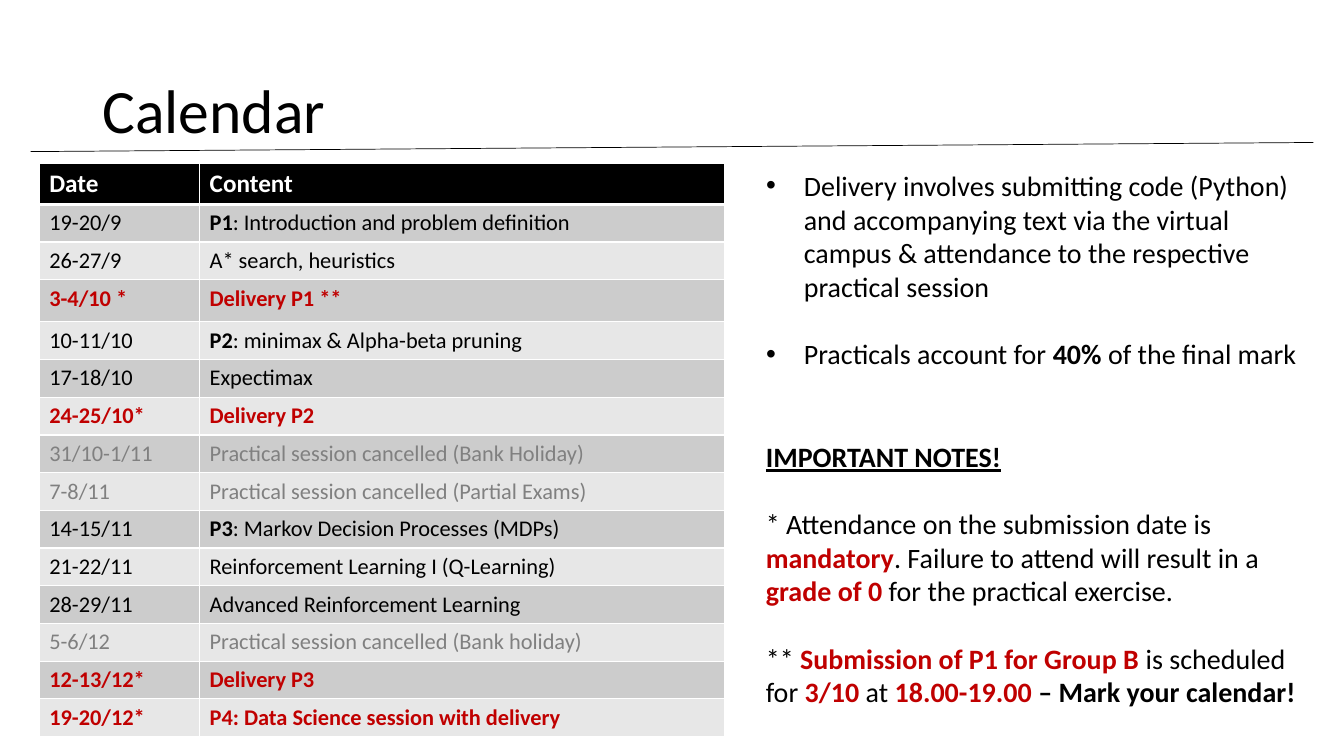
from lxml import etree
from pptx import Presentation
from pptx.dml.color import RGBColor
from pptx.enum.shapes import MSO_CONNECTOR
from pptx.enum.text import MSO_ANCHOR, MSO_AUTO_SIZE, PP_ALIGN
from pptx.oxml import parse_xml
from pptx.oxml.ns import nsdecls, qn
from pptx.util import Cm, Pt

FONT = "Calibri"
COLORS = {
    "plain": "000000", "bold": "000000", "due": "C00000", "off": "808080",
    "head": "FFFFFF", "head_fill": "000000", "border": "FFFFFF",
    "odd": "CCCCCC", "even": "E7E7E7",
}


def write(p, size, runs):
    """Fill paragraph p with (text, style) runs; a style is a key of COLORS."""
    p.font.name, p.font.size = FONT, Pt(size)
    for text, style in runs:
        r = p.add_run()
        r.text = text
        r.font.bold = style in ("bold", "due", "head")
        r.font.color.rgb = RGBColor.from_string(COLORS[style])


def style_cell(cell, fill, bottom):
    tc_pr = cell._tc.get_or_add_tcPr()
    for side, width in (("L", 1), ("R", 1), ("T", 1), ("B", bottom)):
        tc_pr.append(parse_xml(
            f'<a:ln{side} {nsdecls("a")} w="{Pt(width)}"><a:solidFill>'
            f'<a:srgbClr val="{COLORS["border"]}"/></a:solidFill></a:ln{side}>'))
    cell.fill.solid()
    cell.fill.fore_color.rgb = RGBColor.from_string(COLORS[fill])


prs = Presentation()
prs.slide_width, prs.slide_height = Cm(33.87), Cm(19.05)
s = prs.slides.add_slide(prs.slide_layouts[1])

# Title and rule
title, body = s.placeholders
title.left, title.top, title.width, title.height = Cm(2.33), Cm(1.01), Cm(29.21), Cm(3.68)
title.text_frame.vertical_anchor = MSO_ANCHOR.MIDDLE
p = title.text_frame.paragraphs[0]
p.alignment, p.line_spacing = PP_ALIGN.LEFT, 0.9
write(p, 44, [("Calendar", "plain")])

rule = s.shapes.add_connector(MSO_CONNECTOR.STRAIGHT, Cm(0.77), Cm(3.82), Cm(33.1), Cm(3.59))
rule.line.width = Pt(0.5)
rule.line.color.rgb = RGBColor.from_string(COLORS["plain"])
etree.SubElement(rule._element.spPr, qn("a:effectLst"))

# Calendar table: date, bold lead, content, style
sessions = [
    ("Date", "", "Content", "head"),
    ("19-20/9", "P1", ": Introduction and problem definition", "plain"),
    ("26-27/9", "", "A* search, heuristics", "plain"),
    ("3-4/10 *", "", "Delivery P1 **", "due"),
    ("10-11/10", "P2", ": minimax & Alpha-beta pruning", "plain"),
    ("17-18/10", "", "Expectimax", "plain"),
    ("24-25/10*", "", "Delivery P2", "due"),
    ("31/10-1/11", "", "Practical session cancelled (Bank Holiday)", "off"),
    ("7-8/11", "", "Practical session cancelled (Partial Exams)", "off"),
    ("14-15/11", "P3", ": Markov Decision Processes (MDPs)", "plain"),
    ("21-22/11", "", "Reinforcement Learning I (Q-Learning)", "plain"),
    ("28-29/11", "", "Advanced Reinforcement Learning", "plain"),
    ("5-6/12", "", "Practical session cancelled (Bank holiday)", "off"),
    ("12-13/12*", "", "Delivery P3", "due"),
    ("19-20/12*", "", "P4: Data Science session with delivery", "due"),
]
table = s.shapes.add_table(len(sessions), 2, Cm(0.99), Cm(4.12), Cm(17.27), Cm(14.45)).table
table.columns[0].width, table.columns[1].width = Cm(4.04), Cm(13.23)
row_heights = {0: 1, 3: 1.06}
for i, (date, lead, content, style) in enumerate(sessions):
    table.rows[i].height = Cm(row_heights.get(i, 0.95))
    is_head = i == 0
    fill = "head_fill" if is_head else "odd" if i % 2 else "even"
    content_runs = [(lead, "bold")] if lead else []
    content_runs.append((content, style))
    for j, runs in enumerate(([(date, style)], content_runs)):
        cell = table.cell(i, j)
        style_cell(cell, fill, 3 if is_head else 1)
        write(cell.text_frame.paragraphs[0], 18 if is_head else 16, runs)

# Delivery rules and notes
delivery = [
    [("Delivery involves submitting code (Python) and accompanying text via the virtual "
      "campus & attendance to the respective practical session", "plain")],
    [("Practicals account for ", "plain"), ("40%", "bold"), (" of the final mark", "plain")],
]
notes = [
    [("IMPORTANT NOTES!", "bold")],
    [("* Attendance on the submission date is ", "plain"), ("mandatory", "due"),
     (". Failure to attend will result in a ", "plain"), ("grade of 0 ", "due"),
     ("for the practical exercise.", "plain")],
    [("** ", "plain"), ("Submission of P1 for Group B ", "due"),
     ("is scheduled for ", "plain"), ("3/10", "due"), (" at ", "plain"),
     ("18.00-19.00 ", "due"), ("– Mark your calendar!", "bold")],
]
body.left, body.top, body.width, body.height = Cm(19.05), Cm(4.12), Cm(14.05), Cm(5.38)
notes_box = s.shapes.add_textbox(Cm(19.05), Cm(10.95), Cm(14.05), Cm(7.09))
for sp, paragraphs in ((body, delivery), (notes_box, notes)):
    tf = sp.text_frame
    tf.word_wrap, tf.auto_size = True, MSO_AUTO_SIZE.NONE
    for i, runs in enumerate(paragraphs):
        p = tf.add_paragraph() if i else tf.paragraphs[0]
        p.space_before = Pt(24 if i else 0)
        write(p, 20, runs)
notes_box.text_frame.paragraphs[0].runs[0].font.underline = True

prs.save("out.pptx")
